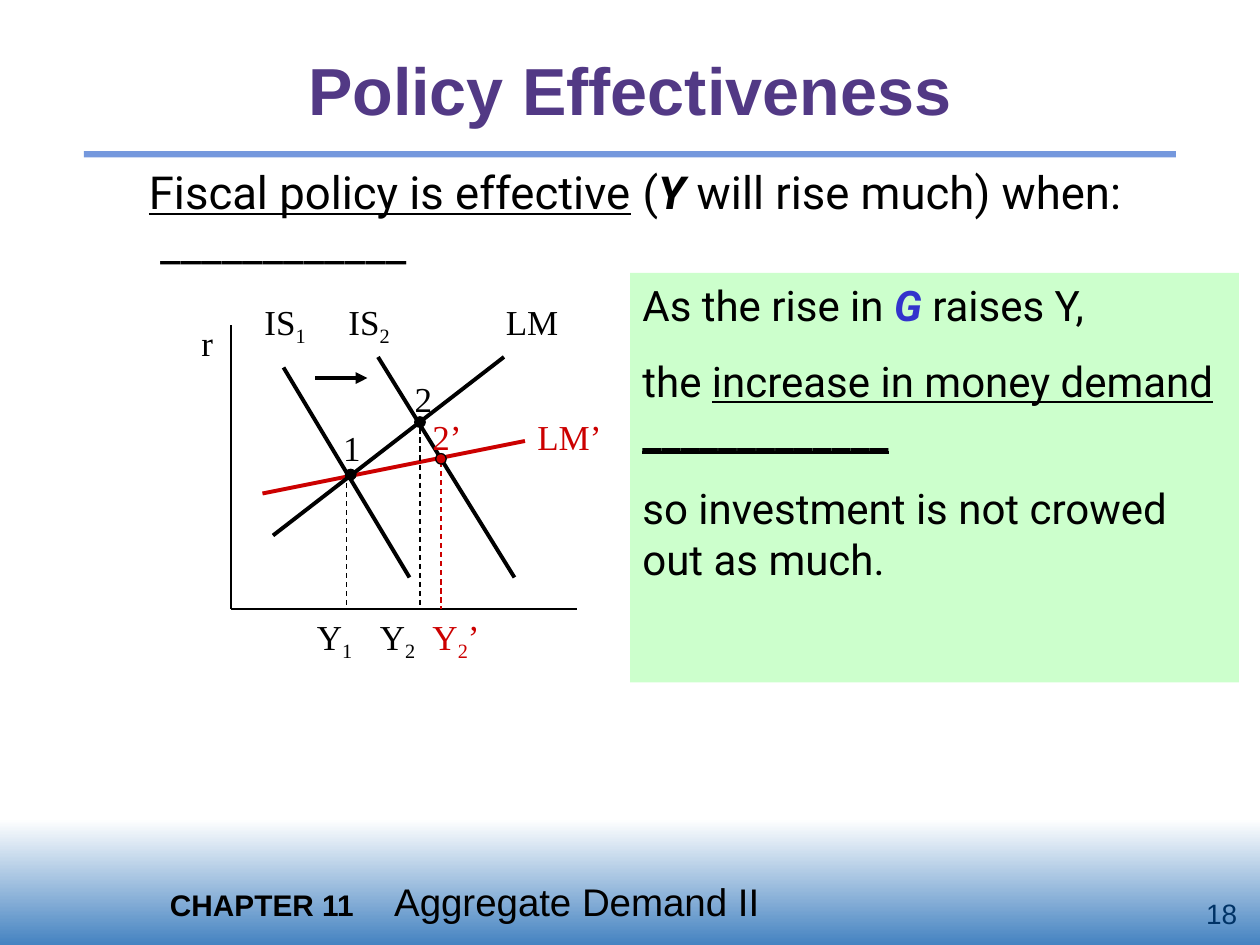
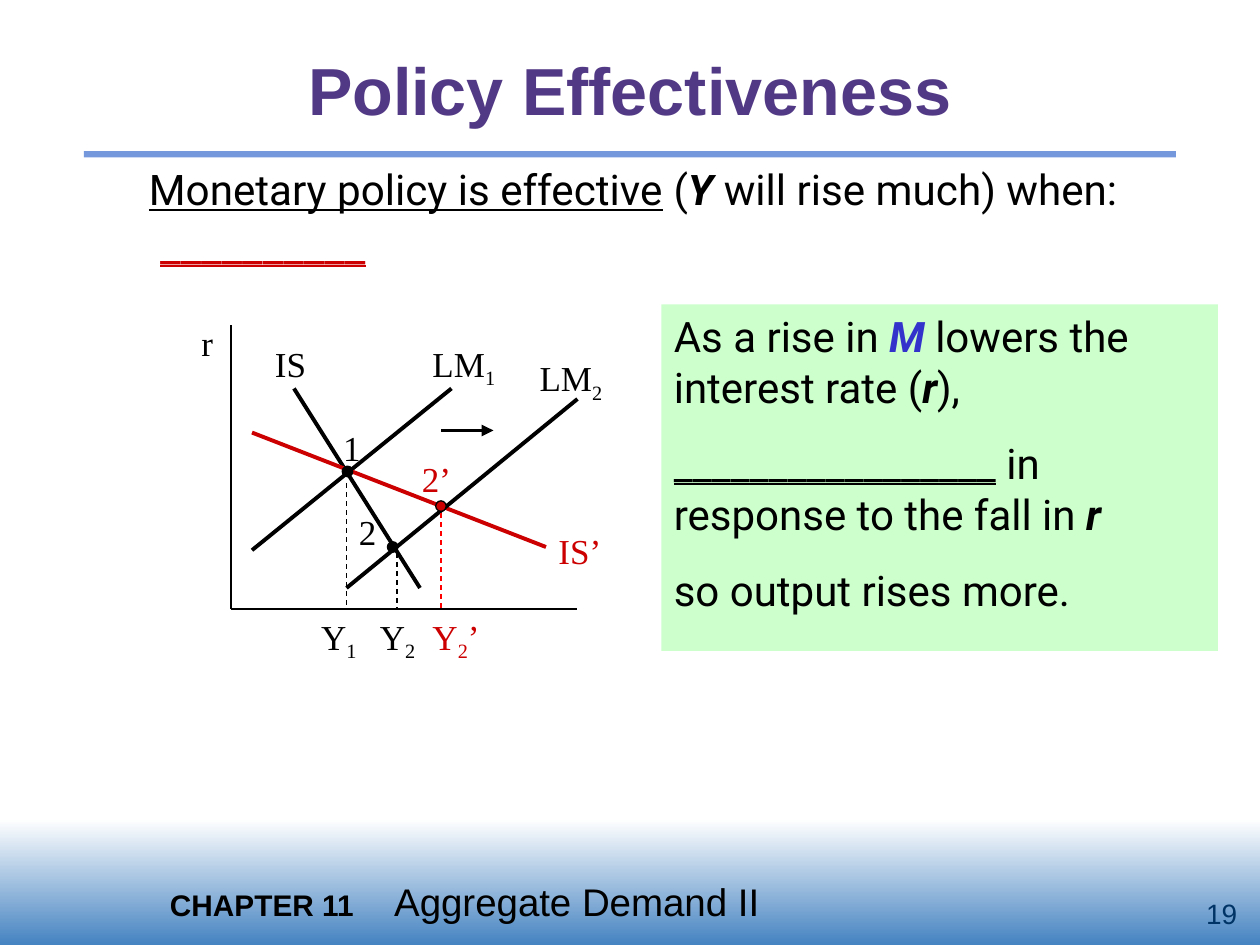
from collections import namedtuple

from lxml import etree
from pptx import Presentation
from pptx import util as u
from pptx.dml.color import RGBColor
from pptx.enum import dml, shapes, text
from pptx.oxml.ns import qn

Box = namedtuple("Box", "left top width height")
Curve = namedtuple("Curve", "start end color")
Label = namedtuple("Label", "words left top color")
Drop = namedtuple("Drop", "column top color")
Point = namedtuple("Point", "column row color")

CELL = u.Inches(1 / 12)
COLUMNS, ROWS = 120, 90
BLACK, WHITE, RED, BRIGHT_RED = "000000", "FFFFFF", "CC0000", "FF0000"
PURPLE, RULE_BLUE, BAND_BLUE = "523985", "7598DD", "4583C1"
NAVY, SYMBOL_BLUE, MINT = "003366", "3333CC", "CCFFCC"
SANS, BODY, SERIF = "Arial", "Roboto", "Times New Roman"

TITLE = Box(5, 3, 110, 11)
RULE = Box(8, 14.4, 104, 0.6)
BAND = Box(0, 78, COLUMNS, 12)
CHAPTER = Box(15, 83, 100, 5.6)
NUMBER = Box(104, 85, 15, 4)
LEAD = Box(13, 15, 103, 9)
ANSWER = Box(13, 20, 107, 8)
GRAPH = Box(18, 28, 42, 36)
AXIS_LEFT, AXIS_TOP, AXIS_RIGHT, AXIS_BOTTOM = 4, 3, 37, 30


def rgb(color):
    return RGBColor.from_string(color)


def cells(*counts):
    return [round(count * CELL) for count in counts]


def write(shape, paragraphs, font, size, color=BLACK, gap=0, align=text.PP_ALIGN.LEFT):
    frame = shape.text_frame
    frame.word_wrap = True
    frame.auto_size = text.MSO_AUTO_SIZE.NONE
    for index, spans in enumerate(paragraphs):
        para = frame.add_paragraph() if index else frame.paragraphs[0]
        para.alignment = align
        if index:
            para.space_before = u.Pt(gap)
        for words, marks in spans:
            span = para.add_run()
            span.text = words
            span.font.name = font
            span.font.size = u.Pt(size)
            span.font.bold = "b" in marks
            span.font.italic = "i" in marks
            span.font.underline = "u" in marks
            shade = SYMBOL_BLUE if "s" in marks else RED if "r" in marks else color
            span.font.color.rgb = rgb(shade)
            if "-" in marks:
                span.font.size = u.Pt(size)
                span._r.get_or_add_rPr().set("baseline", "-25000")


def add_text(page, box, paragraphs, font, size, **style):
    shape = page.shapes.add_textbox(*cells(*box))
    write(shape, paragraphs, font, size, **style)
    return shape


def add_block(page, kind, box, color, outline=None):
    shape = page.shapes.add_shape(kind, *cells(*box))
    shape.shadow.inherit = False
    shape.fill.solid()
    shape.fill.fore_color.rgb = rgb(color)
    if outline:
        shape.line.color.rgb = rgb(outline)
        shape.line.width = u.Pt(0.75)
    else:
        shape.line.fill.background()
    return shape


def add_line(page, box, start, end, color=BLACK, width=0.75, dashed=False, arrow=False):
    ends = (box.left + start[0], box.top + start[1], box.left + end[0], box.top + end[1])
    line = page.shapes.add_connector(shapes.MSO_CONNECTOR.STRAIGHT, *cells(*ends))
    line.line.color.rgb = rgb(color)
    line.line.width = u.Pt(width)
    if dashed:
        line.line.dash_style = dml.MSO_LINE.DASH
    if arrow:
        etree.SubElement(line.line._get_or_add_ln(), qn("a:tailEnd"), type="triangle")
    etree.SubElement(line._element.spPr, qn("a:effectLst"))


def add_title(page, box, words):
    title = page.shapes.title
    title.left, title.top, title.width, title.height = cells(*box)
    title.text_frame.vertical_anchor = text.MSO_ANCHOR.MIDDLE
    write(title, [[(words, "b")]], SANS, 38, color=PURPLE, align=text.PP_ALIGN.CENTER)


def add_footer(page, number):
    band = add_block(page, shapes.MSO_SHAPE.RECTANGLE, BAND, WHITE)
    band.fill.gradient()
    band.fill.gradient_angle = 270
    for stop, color, position in zip(band.fill.gradient_stops, (WHITE, BAND_BLUE), (0, 1)):
        stop.color.rgb = rgb(color)
        stop.position = position

    chapter = add_text(page, CHAPTER, [[("CHAPTER 11", "b"), ("\tAggregate Demand II", "")]], SANS, 22)
    para = chapter.text_frame.paragraphs[0]
    para.runs[0].font.size = u.Pt(17)
    tabs = etree.SubElement(para._p.get_or_add_pPr(), qn("a:tabLst"))
    etree.SubElement(tabs, qn("a:tab"), pos=str(u.Inches(1.78)), algn="l")

    badge = add_text(page, NUMBER, [[(str(number), "")]], SANS, 16, color=NAVY,
                     align=text.PP_ALIGN.RIGHT)
    badge.text_frame.vertical_anchor = text.MSO_ANCHOR.MIDDLE


def add_label(page, box, label):
    stem, _, rest = label.words.partition("_")
    spans = [(stem, ""), (rest[:1], "-"), (rest[1:], "")]
    place = Box(box.left + label.left, box.top + label.top, 9, 5.5)
    add_text(page, place, [[span for span in spans if span[0]]], SERIF, 20, color=label.color)


def add_graph(page, box, curves, drops, shift, labels, points):
    origin = (AXIS_LEFT, AXIS_BOTTOM)
    for end in ((AXIS_LEFT, AXIS_TOP), (AXIS_RIGHT, AXIS_BOTTOM)):
        add_line(page, box, origin, end)
    for curve in curves:
        add_line(page, box, curve.start, curve.end, curve.color, 2.25)
    for drop in drops:
        add_line(page, box, (drop.column, drop.top), (drop.column, AXIS_BOTTOM),
                 drop.color, dashed=True)
    add_line(page, box, shift, (shift[0] + 5, shift[1]), width=2.25, arrow=True)
    for label in (Label("r", 0, 2, BLACK), Label("Y_2", 17, AXIS_BOTTOM, BLACK),
                  Label("Y_2’", 22, AXIS_BOTTOM, RED), *labels):
        add_label(page, box, label)
    for point in points:
        dot = Box(box.left + point.column - 0.5, box.top + point.row - 0.5, 1, 1)
        add_block(page, shapes.MSO_SHAPE.OVAL, dot, point.color, outline=BLACK)


def add_policy_page(deck, number, policy, lead_size, answer, reason_box, reasons, graph):
    page = deck.slides.add_slide(deck.slide_layouts[5])
    add_footer(page, number)
    add_title(page, TITLE, "Policy Effectiveness")
    add_block(page, shapes.MSO_SHAPE.RECTANGLE, RULE, RULE_BLUE)
    lead = [(f"{policy} policy is effective", "u"), (" (", ""), ("Y", "bi"),
            (" will rise much) when:", "")]
    add_text(page, LEAD, [lead], BODY, lead_size)
    add_text(page, ANSWER, [answer], BODY, 26)
    panel = add_block(page, shapes.MSO_SHAPE.RECTANGLE, reason_box, MINT)
    panel.text_frame.vertical_anchor = text.MSO_ANCHOR.TOP
    write(panel, reasons, BODY, 24, gap=15)
    add_graph(page, GRAPH, **graph)


FISCAL = dict(
    policy="Fiscal",
    lead_size=26,
    answer=[(" " + "_" * 12, "")],
    reason_box=Box(60, 26, 58, 39),
    reasons=[
        [("As the rise in ", ""), ("G", "bis"), (" raises Y,", "")],
        [("the ", ""), ("increase in money demand " + "_" * 13, "u")],
        [("so investment is not crowed out as much.", "")],
    ],
    graph=dict(
        curves=[Curve((7, 19), (32, 14), RED), Curve((18, 6), (31, 27), BLACK),
                Curve((8, 23), (30, 6), BLACK), Curve((9, 7), (21, 27), BLACK)],
        drops=[Drop(15, 18, BLACK), Drop(22, 12.8, BLACK), Drop(24, 16, RED)],
        shift=(12, 8),
        labels=[Label("IS_1", 6, 0, BLACK), Label("IS_2", 14, 0, BLACK),
                Label("LM", 29, 0, BLACK), Label("LM’", 32, 11, RED),
                Label("1", 13.5, 12, BLACK), Label("2", 20.3, 7.4, BLACK),
                Label("2’", 22, 11, RED), Label("Y_1", 11, AXIS_BOTTOM, BLACK)],
        points=[Point(15.4, 17.2, BLACK), Point(22, 12.2, BLACK), Point(24, 15.7, RED)],
    ),
)

MONETARY = dict(
    policy="Monetary",
    lead_size=24.1,
    answer=[(" ", ""), ("_" * 10, "ur")],
    reason_box=Box(63, 29, 53, 33),
    reasons=[
        [("As a rise in ", ""), ("M", "bis"), (" lowers the interest rate (", ""),
         ("r", "bi"), ("),", "")],
        [("_" * 17, "u"), (" in response to the fall in ", ""), ("r", "bi")],
        [("so output rises more.", "")],
    ],
    graph=dict(
        curves=[Curve((6, 24.4), (25, 9), BLACK), Curve((10, 9), (22, 28), BLACK),
                Curve((6, 13.2), (34, 24.1), RED), Curve((15, 28), (37, 10), BLACK)],
        drops=[Drop(15, 18, BLACK), Drop(19.8, 23.8, BLACK), Drop(24, 20, BRIGHT_RED)],
        shift=(24, 13),
        labels=[Label("IS", 7, 4, BLACK), Label("LM_1", 22, 4, BLACK),
                Label("LM_2", 32.2, 5.4, BLACK), Label("IS’", 34, 21.8, RED),
                Label("1", 13.5, 12, BLACK), Label("2", 15, 20, BLACK),
                Label("2’", 21, 15, RED), Label("Y_1", 11.4, AXIS_BOTTOM, BLACK)],
        points=[Point(15.1, 16.9, BLACK), Point(19.4, 24.1, BLACK), Point(24, 20.2, RED)],
    ),
)


def main():
    deck = Presentation()
    deck.slide_width, deck.slide_height = cells(COLUMNS, ROWS)
    for number, policy in enumerate((FISCAL, MONETARY), start=18):
        add_policy_page(deck, number, **policy)
    deck.save("out.pptx")


if __name__ == "__main__":
    main()
